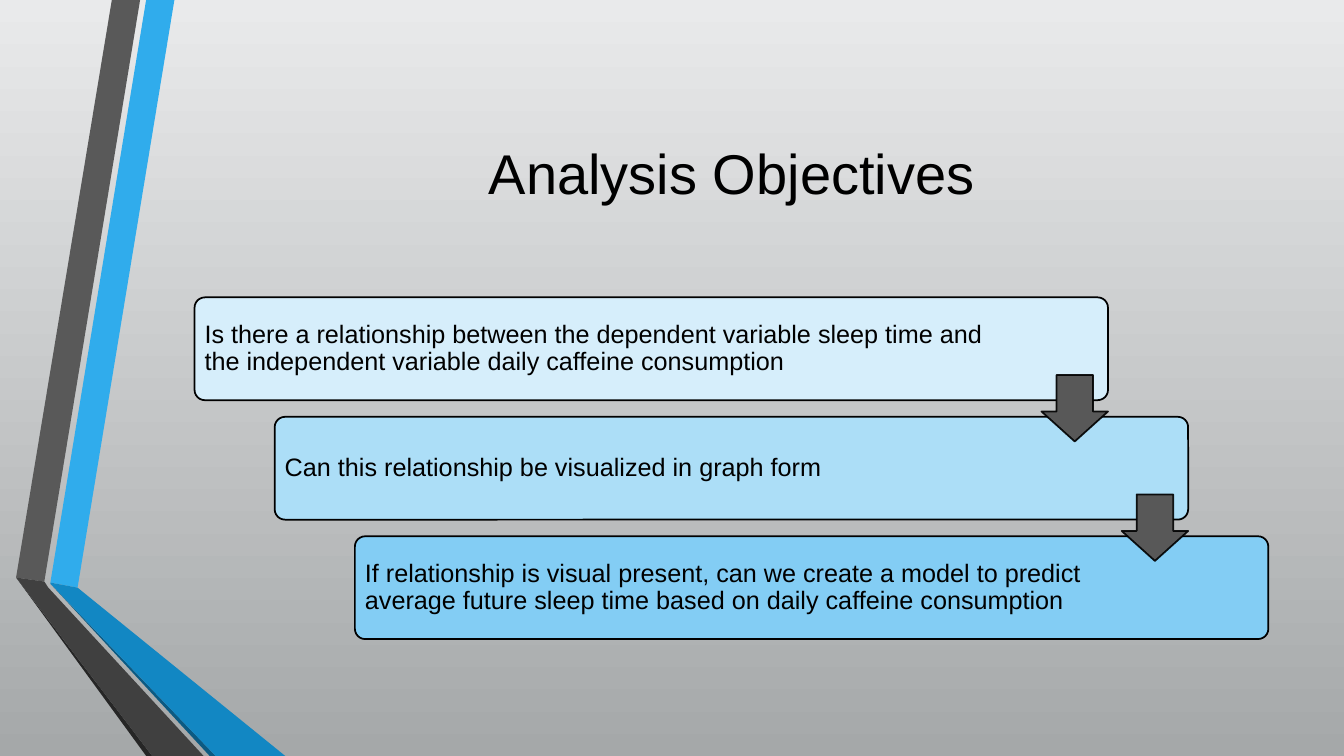
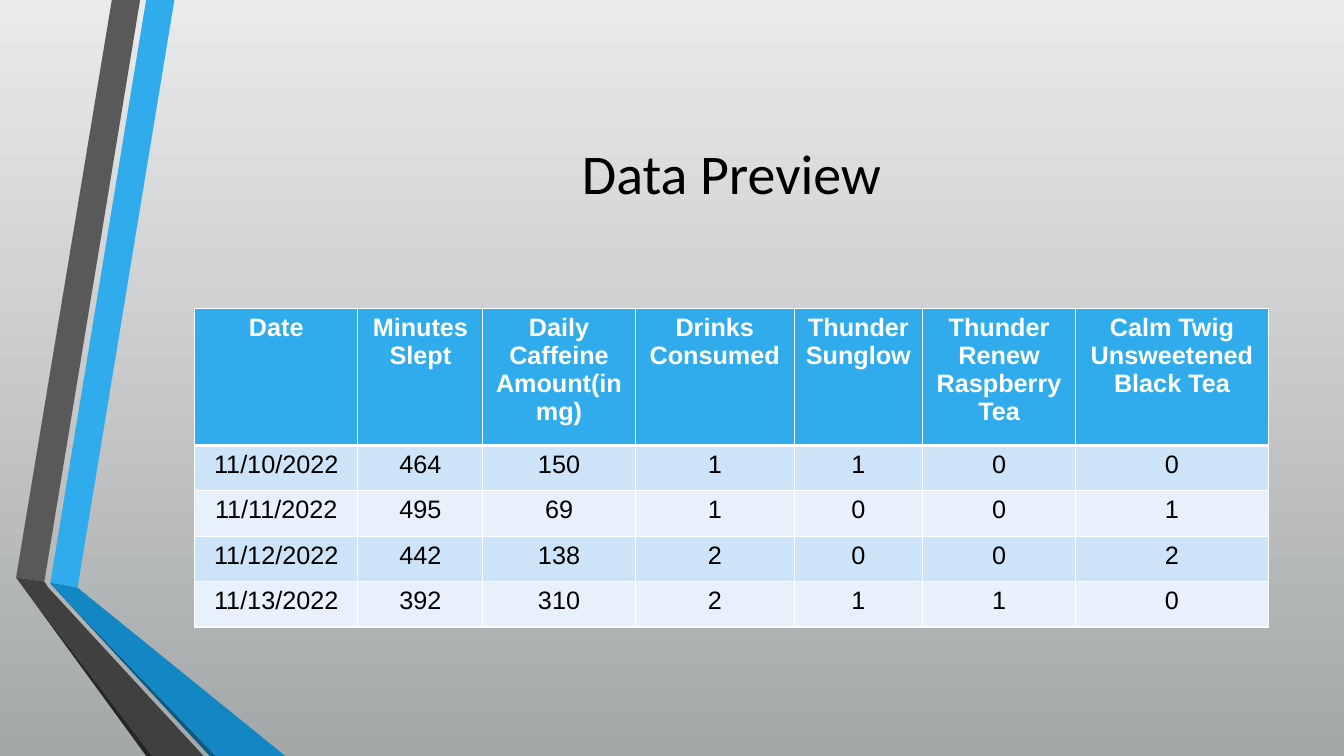
"""Build two slides on a sleep and caffeine study: its objectives and a data preview."""
import lxml.etree
import pptx
import pptx.dml.color
import pptx.enum.shapes
import pptx.enum.text
import pptx.oxml.ns
import pptx.util

Inches = pptx.util.Inches
Pt = pptx.util.Pt
Color = pptx.dml.color.RGBColor.from_string
Shape = pptx.enum.shapes.MSO_SHAPE
Align = pptx.enum.text.PP_ALIGN
Anchor = pptx.enum.text.MSO_ANCHOR
qn = pptx.oxml.ns.qn


class Theme:
    ink, white = "000000", "FFFFFF"
    sky = ("E9EAEB", "A5A8A9")
    blue, arrow = "30ACEC", "585858"
    cards = ("D6EEFB", "ACDEF7", "83CDF4")
    rows = ("CDE3F8", "E8F1FB")
    font, alt = "Arial", "Calibri"
    head, body = 40, 18
    edge = 1.25
    left, width = 1.93, 10.65
    bands = (
        (blue, [(0.5, 5.78), (0.77, 5.83), (1.73, 0), (1.45, 0)]),
        ("595959", [(1.39, 0), (1.11, 0), (0.16, 5.73), (0.44, 5.77)]),
        ("262626", [(0.16, 5.73), (1.45, 7.5), (1.51, 7.5)]),
        ("0C5A82", [(0.5, 5.79), (2.08, 7.5), (2.14, 7.5)]),
        ("1287C3", [(0.5, 5.79), (2.14, 7.5), (2.83, 7.5), (0.77, 5.83), (0.5, 5.78)]),
        ("404040", [(2.02, 7.5), (0.48, 5.83), (0.44, 5.77), (0.16, 5.73), (1.51, 7.5)]),
    )


def write(frame, text, size, align, color=Theme.ink, font=Theme.font, bold=False):
    """Add one styled run to the first paragraph and return the paragraph."""
    para = frame.paragraphs[0]
    para.alignment = align
    run = para.add_run()
    run.text = text
    run.font.size = Pt(size)
    run.font.name = font
    run.font.bold = bold
    run.font.color.rgb = Color(color)
    return para


def paint(shape, fill, line=None):
    """Give a shape a flat fill, an optional outline and no shadow."""
    shape.shadow.inherit = False
    shape.fill.solid()
    shape.fill.fore_color.rgb = Color(fill)
    if line:
        shape.line.color.rgb = Color(line)
        shape.line.width = Pt(Theme.edge)
    else:
        shape.line.fill.background()


deck = pptx.Presentation()
deck.slide_width = Inches(13.33)
deck.slide_height = Inches(7.5)
back = deck.slide_master.background.fill
back.gradient()
back.gradient_angle = 270
for stop, color in zip(back.gradient_stops, Theme.sky):
    stop.color.rgb = Color(color)

slides = []
for title, font in (("Analysis Objectives", Theme.font), ("Data Preview", Theme.alt)):
    slide = deck.slides.add_slide(deck.slide_layouts[6])
    for color, points in Theme.bands:
        spots = [(Inches(x), Inches(y)) for x, y in points]
        pen = slide.shapes.build_freeform(*spots[0])
        pen.add_line_segments(spots[1:], close=True)
        paint(pen.convert_to_shape(), color)
    box = slide.shapes.add_textbox(Inches(Theme.left), Inches(0.75), Inches(Theme.width), Inches(1.92))
    box.text_frame.word_wrap = True
    box.text_frame.vertical_anchor = Anchor.MIDDLE
    write(box.text_frame, title, Theme.head, Align.CENTER, font=font)
    slides.append(slide)
goals, data = slides

steps = (
    ("Is there a relationship between the dependent variable sleep time and "
     "the independent variable daily caffeine consumption", 1.11),
    ("Can this relationship be visualized in graph form", 1.53),
    ("If relationship is visual present, can we create a model to predict "
     "average future sleep time based on daily caffeine consumption", 1.53),
)
wide, high, tip = 9.06, 1.02, 0.66
shift = (Theme.width - wide) / (len(steps) - 1)
spots = [(Theme.left + shift * i, 2.95 + 2.37 / 2 * i) for i in range(len(steps))]
for (text, inset), (x, y), color in zip(steps, spots, Theme.cards):
    card = goals.shapes.add_shape(
        Shape.ROUNDED_RECTANGLE, Inches(x), Inches(y), Inches(wide), Inches(high))
    card.adjustments[0] = 0.1
    paint(card, color, Theme.ink)
    frame = card.text_frame
    frame.word_wrap = True
    frame.vertical_anchor = Anchor.MIDDLE
    frame.margin_left = frame.margin_top = frame.margin_bottom = Inches(0.07)
    frame.margin_right = Inches(inset)
    write(frame, text, Theme.body, Align.LEFT).line_spacing = 0.9

for x, y in spots[:-1]:
    arrow = goals.shapes.add_shape(
        Shape.DOWN_ARROW, Inches(x + wide - tip), Inches(y + 0.77), Inches(tip), Inches(tip))
    arrow.adjustments[0] = 0.55
    arrow.adjustments[1] = 0.45
    paint(arrow, Theme.arrow, Theme.ink)
    tint = arrow.line._ln.find(".//" + qn("a:srgbClr"))
    lxml.etree.SubElement(tint, qn("a:alpha"), val="90000")

table = (
    ("Date", "Minutes Slept", "Daily Caffeine Amount(in mg)", "Drinks Consumed",
     "Thunder Sunglow", "Thunder Renew Raspberry Tea", "Calm Twig Unsweetened Black Tea"),
    ("11/10/2022", "464", "150", "1", "1", "0", "0"),
    ("11/11/2022", "495", "69", "1", "0", "0", "1"),
    ("11/12/2022", "442", "138", "2", "0", "0", "2"),
    ("11/13/2022", "392", "310", "2", "1", "1", "0"),
)
cols = (1.62, 1.24, 1.51, 1.58, 1.27, 1.52, 1.91)
grid = data.shapes.add_table(
    len(table), len(cols), Inches(Theme.left), Inches(3.06), Inches(Theme.width), Inches(3.16)).table
for col, size in zip(grid.columns, cols):
    col.width = Inches(size)
for r, row in enumerate(table):
    top = r == 0
    grid.rows[r].height = Inches(1.36 if top else 0.45)
    for c, text in enumerate(row):
        cell = grid.cell(r, c)
        props = cell._tc.get_or_add_tcPr()
        for side in "LRTB":
            thick = (r, side) in ((0, "B"), (1, "T"))
            line = lxml.etree.SubElement(props, qn("a:ln" + side), w=str(Pt(3 if thick else 1)))
            fill = lxml.etree.SubElement(line, qn("a:solidFill"))
            lxml.etree.SubElement(fill, qn("a:srgbClr"), val=Theme.white)
        cell.fill.solid()
        cell.fill.fore_color.rgb = Color(Theme.blue if top else Theme.rows[(r - 1) % 2])
        write(cell.text_frame, text, Theme.body, Align.CENTER,
              Theme.white if top else Theme.ink, bold=top)

deck.save("out.pptx")
